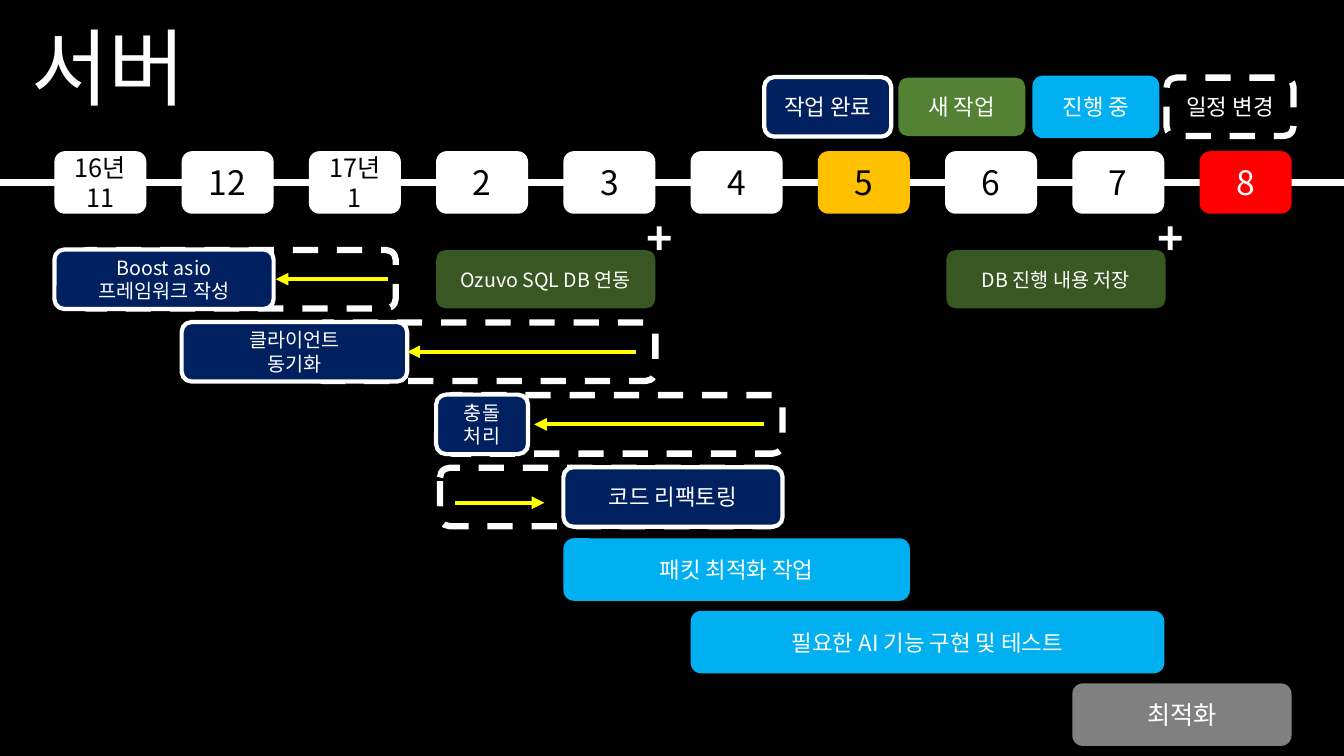
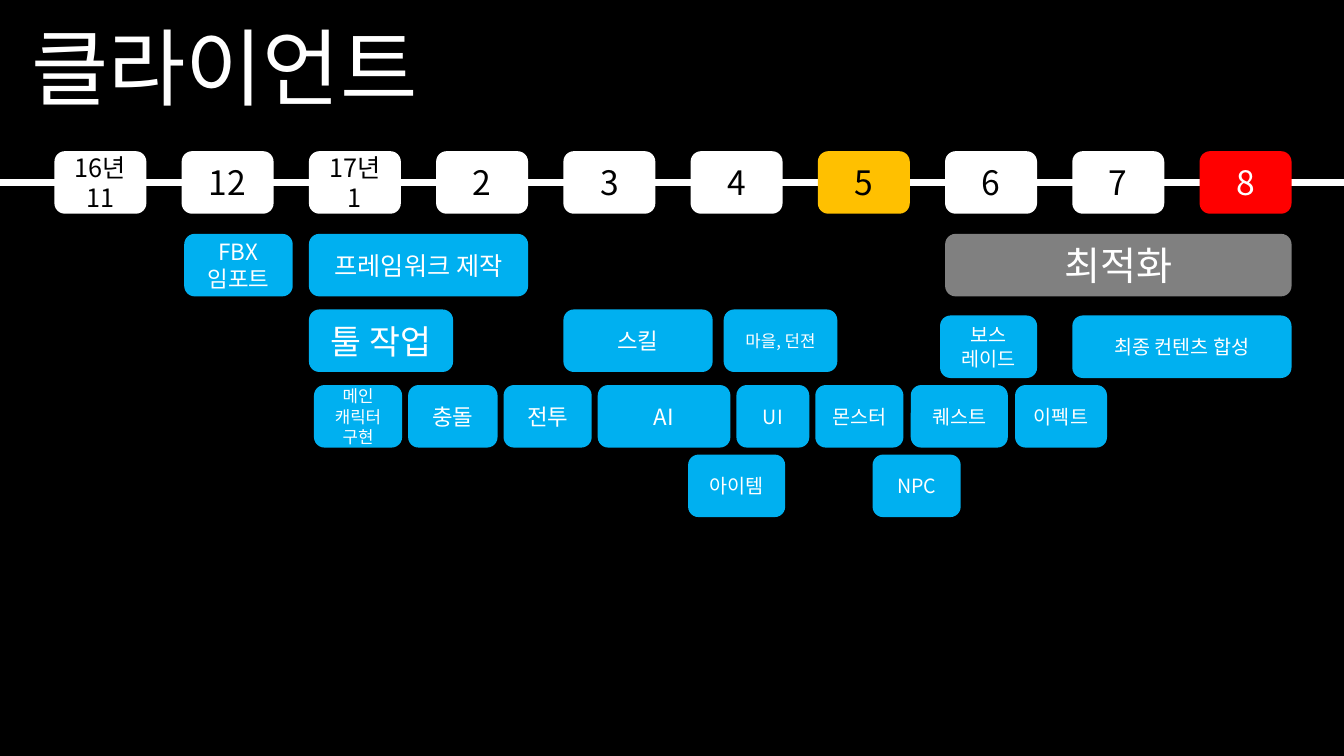
from lxml import etree
from pptx import Presentation
from pptx.dml.color import RGBColor
from pptx.enum.dml import MSO_LINE
from pptx.enum.shapes import MSO_CONNECTOR, MSO_SHAPE
from pptx.enum.text import MSO_ANCHOR, PP_ALIGN
from pptx.oxml.ns import qn
from pptx.util import Inches, Pt

ROUNDED = MSO_SHAPE.ROUNDED_RECTANGLE
STRAIGHT = MSO_CONNECTOR.STRAIGHT
DASH = MSO_LINE.DASH
LEFT, CENTER = PP_ALIGN.LEFT, PP_ALIGN.CENTER
TOP, MIDDLE = MSO_ANCHOR.TOP, MSO_ANCHOR.MIDDLE
LEFT_SIDE, RIGHT_SIDE = 1, 3

FONT = "Noto Sans CJK KR"
BLACK, WHITE, YELLOW = "000000", "FFFFFF", "FFFF00"
AMBER, RED = "FFC000", "FF0000"

# Box styles: fill, outline colour, outline width, dash, height
STYLES = {
    "done": ("00205F", WHITE, 3, None, 0.59),
    "new": ("548235", None, 0, None, 0.58),
    "added": ("385723", None, 0, None, 0.58),
    "active": ("00B0F0", None, 0, None, 0.62),
    "moved": (None, WHITE, 4.5, DASH, 0.58),
    "planned": ("808080", None, 0, None, 0.62),
    "month": (WHITE, None, 0, None, 0.62),
    "midterm": (AMBER, None, 0, None, 0.62),
    "deadline": (RED, None, 0, None, 0.62),
}

SLIDE_WIDTH, SLIDE_HEIGHT = 13.33, 7.5
MONTH_LEFT, MONTH_PITCH, MONTH_GAP = 0.54, 1.262, 0.35
AXIS_Y = 1.81

# Text, size, style, text colour
MONTHS = [
    ("16년\n11", 18, "month", BLACK),
    ("12", 24, "month", BLACK),
    ("17년\n1", 18, "month", BLACK),
    ("2", 24, "month", BLACK),
    ("3", 24, "month", BLACK),
    ("4", 24, "month", BLACK),
    ("5", 24, "midterm", BLACK),
    ("6", 24, "month", BLACK),
    ("7", 24, "month", BLACK),
    ("8", 24, "deadline", WHITE),
]

LEGEND = [("작업 완료", "done"), ("새 작업", "new"), ("진행 중", "active"), ("일정 변경", "moved")]
LEGEND_LEFT, LEGEND_PITCH, LEGEND_WIDTH, LEGEND_Y = 7.58, 1.33, 1.26, 1.06

# Tasks: text, size, style, first month, months, row
SERVER_TASKS = [
    ("패킷 최적화 작업", 16, "active", 4, 3, 4),
    ("필요한 AI 기능 구현 및 테스트", 16, "active", 5, 4, 5),
    ("최적화", 18, "planned", 8, 2, 6),
    ("", 14, "moved", 0.18, 2.78, 0),
    ("Boost asio\n프레임워크 작성", 14, "done", 0, 2, 0),
    ("", 14, "moved", 2.04, 2.96, 1),
    ("클라이언트\n동기화", 14, "done", 1, 2.05, 1),
    ("", 14, "moved", 3.05, 2.95, 2),
    ("충돌\n처리", 14, "done", 3, 1, 2),
    ("", 14, "moved", 3.03, 2.95, 3),
    ("코드 리팩토링", 16, "done", 4, 2, 3),
    ("Ozuvo SQL DB 연동", 14, "added", 3, 2, 0),
    ("DB 진행 내용 저장", 14, "added", 7.01, 2, 0),
]
CLIENT_TASKS = [
    ("FBX\n임포트", 16, "active", 1.02, 1.13, 0),
    ("프레임워크 제작", 18, "active", 2, 2, 0),
    ("최적화", 28, "planned", 7, 3, 0),
    ("툴 작업", 24, "active", 2, 1.41, 1),
    ("스킬", 16, "active", 4, 1.45, 1),
    ("마을, 던젼", 12, "active", 5.26, 1.17, 1),
    ("보스\n레이드", 14, "active", 6.96, 1.04, 1.08),
    ("최종 컨텐츠 합성", 14, "active", 8, 2, 1.08),
    ("메인 캐릭터\n구현", 12, "active", 2.04, 0.97, 2),
    ("충돌", 16, "active", 2.78, 0.98, 2),
    ("전투", 16, "active", 3.53, 0.97, 2),
    ("AI", 16, "active", 4.27, 1.32, 2),
    ("UI", 14, "active", 5.36, 0.85, 2),
    ("몬스터", 14, "active", 5.98, 0.97, 2),
    ("퀘스트", 14, "active", 6.73, 1.04, 2),
    ("이펙트", 14, "active", 7.55, 1, 2),
    ("아이템", 14, "active", 4.98, 1.04, 2.92),
    ("NPC", 14, "active", 6.43, 0.97, 2.92),
]
SERVER_ROWS = (2.77, 0.72)  # centre of the first row, pitch
CLIENT_ROWS = (2.63, 0.75)

# Shifts: from month, to month, row, task reached
SHIFTS = [
    (2.62, 1.74, 0, None),
    (4.57, 2.77, 1, "클라이언트\n동기화"),
    (5.58, 3.77, 2, None),
    (3.15, 3.85, 3.08, None),
]
PLUS_LEFTS = [6.31, 11.38]


def color(value):
    return RGBColor.from_string(value)


def month_x(month):
    return MONTH_LEFT + month * MONTH_PITCH


def row_y(rows, row):
    first, pitch = rows
    return first + row * pitch


def write_text(shape, text, size=16, text_color=WHITE, align=CENTER, anchor=MIDDLE, bold=False):
    frame = shape.text_frame
    frame.word_wrap = True
    frame.vertical_anchor = anchor
    for index, line in enumerate(text.split("\n")):
        paragraph = frame.paragraphs[0] if index == 0 else frame.add_paragraph()
        paragraph.alignment = align
        run = paragraph.add_run()
        run.text = line
        run.font.size = Pt(size)
        run.font.bold = bold
        run.font.name = FONT
        run.font.color.rgb = color(text_color)
        east_asian = etree.SubElement(run.font._element, qn("a:ea"))
        east_asian.set("typeface", FONT)


def add_label(slide, text, left, top, width, height, **text_format):
    label = slide.shapes.add_textbox(Inches(left), Inches(top), Inches(width), Inches(height))
    write_text(label, text, align=LEFT, anchor=TOP, **text_format)


def add_box(slide, text, style, left, center_y, width, **text_format):
    fill, outline, outline_width, dash, height = STYLES[style]
    box = slide.shapes.add_shape(
        ROUNDED, Inches(left), Inches(center_y - height / 2), Inches(width), Inches(height))
    box.shadow.inherit = False
    if fill:
        box.fill.solid()
        box.fill.fore_color.rgb = color(fill)
    else:
        box.fill.background()
    if outline:
        box.line.color.rgb = color(outline)
        box.line.width = Pt(outline_width)
        box.line.dash_style = dash
    else:
        box.line.fill.background()
    if text:
        write_text(box, text, **text_format)
    return box


def add_line(slide, start_x, end_x, y, line_color, width, arrow=False):
    line = slide.shapes.add_connector(
        STRAIGHT, Inches(start_x), Inches(y), Inches(end_x), Inches(y))
    line.line.color.rgb = color(line_color)
    line.line.width = Pt(width)
    if arrow:
        etree.SubElement(line.line._get_or_add_ln(), qn("a:tailEnd")).set("type", "triangle")
    etree.SubElement(line._element.spPr, qn("a:effectLst"))
    return line


def add_timeline_slide(presentation, title):
    """Add a black slide with its title and the row of months."""
    slide = presentation.slides.add_slide(presentation.slide_layouts[6])
    slide.background.fill.solid()
    slide.background.fill.fore_color.rgb = color(BLACK)
    add_label(slide, title, 0.21, 0.1, 9.44, 1.11, size=60)
    add_line(slide, 0, SLIDE_WIDTH, AXIS_Y, WHITE, 5)
    for month, (text, size, style, text_color) in enumerate(MONTHS):
        add_box(slide, text, style, month_x(month), AXIS_Y, MONTH_PITCH - MONTH_GAP,
                size=size, text_color=text_color)
    return slide


def add_tasks(slide, tasks, rows):
    """Draw the tasks and return their boxes by text."""
    boxes = {}
    for text, size, style, month, months, row in tasks:
        width = months * MONTH_PITCH - MONTH_GAP
        boxes[text] = add_box(slide, text, style, month_x(month), row_y(rows, row), width, size=size)
    return boxes


def add_server_slide(presentation):
    slide = add_timeline_slide(presentation, "서버")
    for index, (text, style) in enumerate(LEGEND):
        add_box(slide, text, style, LEGEND_LEFT + index * LEGEND_PITCH, LEGEND_Y, LEGEND_WIDTH)
    boxes = add_tasks(slide, SERVER_TASKS, SERVER_ROWS)
    for left in PLUS_LEFTS:
        add_label(slide, "+", left, 2.04, 0.53, 0.66, size=32, bold=True)
    for start, end, row, target in SHIFTS:
        arrow = add_line(slide, month_x(start), month_x(end), row_y(SERVER_ROWS, row),
                         YELLOW, 3, arrow=True)
        if target:
            arrow.end_connect(boxes[target], RIGHT_SIDE if end < start else LEFT_SIDE)


def add_client_slide(presentation):
    slide = add_timeline_slide(presentation, "클라이언트")
    add_tasks(slide, CLIENT_TASKS, CLIENT_ROWS)


def main():
    presentation = Presentation()
    presentation.slide_width = Inches(SLIDE_WIDTH)
    presentation.slide_height = Inches(SLIDE_HEIGHT)
    add_server_slide(presentation)
    add_client_slide(presentation)
    presentation.save("out.pptx")


if __name__ == "__main__":
    main()
